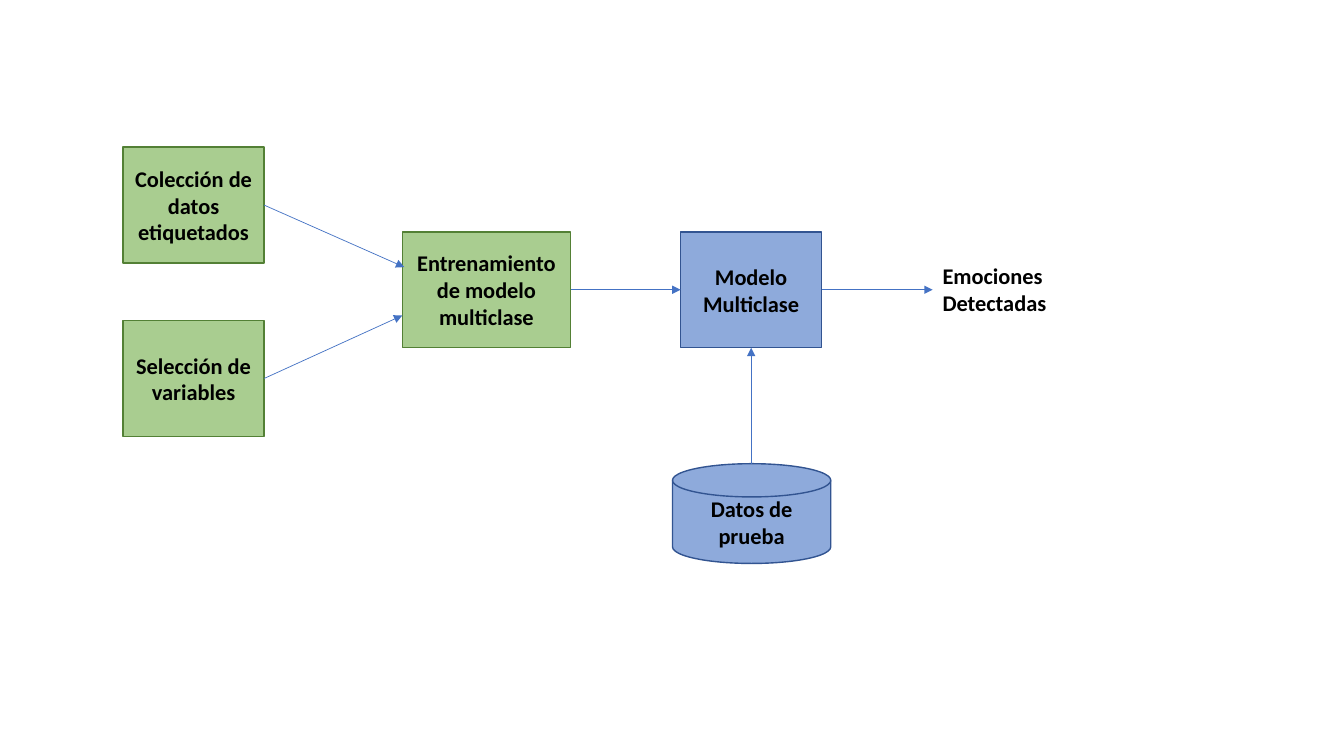
from dataclasses import dataclass

from lxml import etree
from pptx import Presentation
from pptx.dml.color import RGBColor
from pptx.enum.shapes import MSO_CONNECTOR, MSO_SHAPE
from pptx.enum.text import MSO_ANCHOR, MSO_AUTO_SIZE, PP_ALIGN
from pptx.oxml.ns import qn
from pptx.slide import Slide
from pptx.text.text import TextFrame
from pptx.util import Inches, Pt

RECTANGLE = MSO_SHAPE.RECTANGLE
CYLINDER = MSO_SHAPE.FLOWCHART_MAGNETIC_DISK
STRAIGHT = MSO_CONNECTOR.STRAIGHT
MIDDLE = MSO_ANCHOR.MIDDLE
CENTER, LEFT = PP_ALIGN.CENTER, PP_ALIGN.LEFT
FIT_SHAPE = MSO_AUTO_SIZE.SHAPE_TO_FIT_TEXT
BLANK_LAYOUT = 6


@dataclass(frozen=True)
class Palette:
    fill: RGBColor
    outline: RGBColor


@dataclass(frozen=True)
class Theme:
    training: Palette = Palette(RGBColor(0x70, 0xAD, 0x47), RGBColor(0x53, 0x80, 0x35))
    prediction: Palette = Palette(RGBColor(0x44, 0x72, 0xC4), RGBColor(0x32, 0x54, 0x91))
    arrow: RGBColor = RGBColor(0x44, 0x72, 0xC4)
    text: RGBColor = RGBColor(0, 0, 0)
    font: str = "Calibri"
    text_size: Pt = Pt(16)
    outline_width: Pt = Pt(1)
    arrow_width: Pt = Pt(0.5)
    fill_opacity: int = 60


THEME = Theme()


@dataclass(frozen=True)
class Node:
    """A stage of the flow; lengths are in inches."""
    text: str
    left: float
    top: float
    palette: Palette
    width: float = 1.4
    height: float = 1.15
    geometry: MSO_SHAPE = RECTANGLE

    @property
    def right(self) -> float:
        return self.left + self.width

    @property
    def bottom(self) -> float:
        return self.top + self.height

    @property
    def center(self) -> float:
        return self.left + self.width / 2

    @property
    def middle(self) -> float:
        return self.top + self.height / 2


@dataclass(frozen=True)
class Arrow:
    start: tuple[float, float]
    end: tuple[float, float]


def write_text(frame: TextFrame, text: str, alignment: PP_ALIGN) -> None:
    frame.word_wrap = True
    paragraph = frame.paragraphs[0]
    paragraph.text = text
    paragraph.alignment = alignment
    paragraph.font.name = THEME.font
    paragraph.font.size = THEME.text_size
    paragraph.font.bold = True
    paragraph.font.color.rgb = THEME.text


def draw_node(slide: Slide, node: Node) -> None:
    shape = slide.shapes.add_shape(
        node.geometry, Inches(node.left), Inches(node.top),
        Inches(node.width), Inches(node.height))
    shape.shadow.inherit = False
    shape.fill.solid()
    shape.fill.fore_color.rgb = node.palette.fill
    color = shape.fill._xPr.find(qn("a:solidFill"))[0]
    etree.SubElement(color, qn("a:alpha"), val=str(THEME.fill_opacity * 1000))
    shape.line.color.rgb = node.palette.outline
    shape.line.width = THEME.outline_width
    shape.text_frame.vertical_anchor = MIDDLE
    write_text(shape.text_frame, node.text, CENTER)


def draw_arrow(slide: Slide, arrow: Arrow) -> None:
    points = [Inches(value) for value in (*arrow.start, *arrow.end)]
    connector = slide.shapes.add_connector(STRAIGHT, *points)
    connector.line.color.rgb = THEME.arrow
    connector.line.width = THEME.arrow_width
    properties = connector._element.spPr
    etree.SubElement(properties.find(qn("a:ln")), qn("a:tailEnd"), type="triangle")
    etree.SubElement(properties, qn("a:effectLst"))


# Stages of the flow
INPUT_LEFT, MODEL_TOP, OUTPUT_LEFT = 1.22, 2.3, 9.25
collection = Node("Colección de datos etiquetados", INPUT_LEFT, 1.46, THEME.training)
selection = Node("Selección de variables", INPUT_LEFT, 3.18, THEME.training)
training = Node("Entrenamiento de modelo multiclase", 3.99, MODEL_TOP,
                THEME.training, width=1.67)
model = Node("Modelo Multiclase", 6.75, MODEL_TOP, THEME.prediction)
test_data = Node("Datos de prueba", 6.67, 4.6, THEME.prediction,
                 width=1.57, height=0.99, geometry=CYLINDER)
nodes = [collection, test_data, model, selection, training]

arrows = [
    Arrow((collection.right, collection.middle), (4.01, 2.65)),
    Arrow((selection.right, selection.middle), (training.left, 3.13)),
    Arrow((training.right, training.middle), (model.left, model.middle)),
    Arrow((model.center, test_data.top), (model.center, model.bottom)),
    Arrow((model.right, model.middle), (OUTPUT_LEFT, model.middle)),
]

# Slide
presentation = Presentation()
presentation.slide_width = Inches(13.33)
presentation.slide_height = Inches(7.5)
slide = presentation.slides.add_slide(presentation.slide_layouts[BLANK_LAYOUT])

for node in nodes:
    draw_node(slide, node)

# Result of the model
result = slide.shapes.add_textbox(
    Inches(OUTPUT_LEFT), Inches(2.55), Inches(1.67), Inches(0.64))
write_text(result.text_frame, "Emociones Detectadas", LEFT)
result.text_frame.auto_size = FIT_SHAPE

for arrow in arrows:
    draw_arrow(slide, arrow)

presentation.save("out.pptx")
